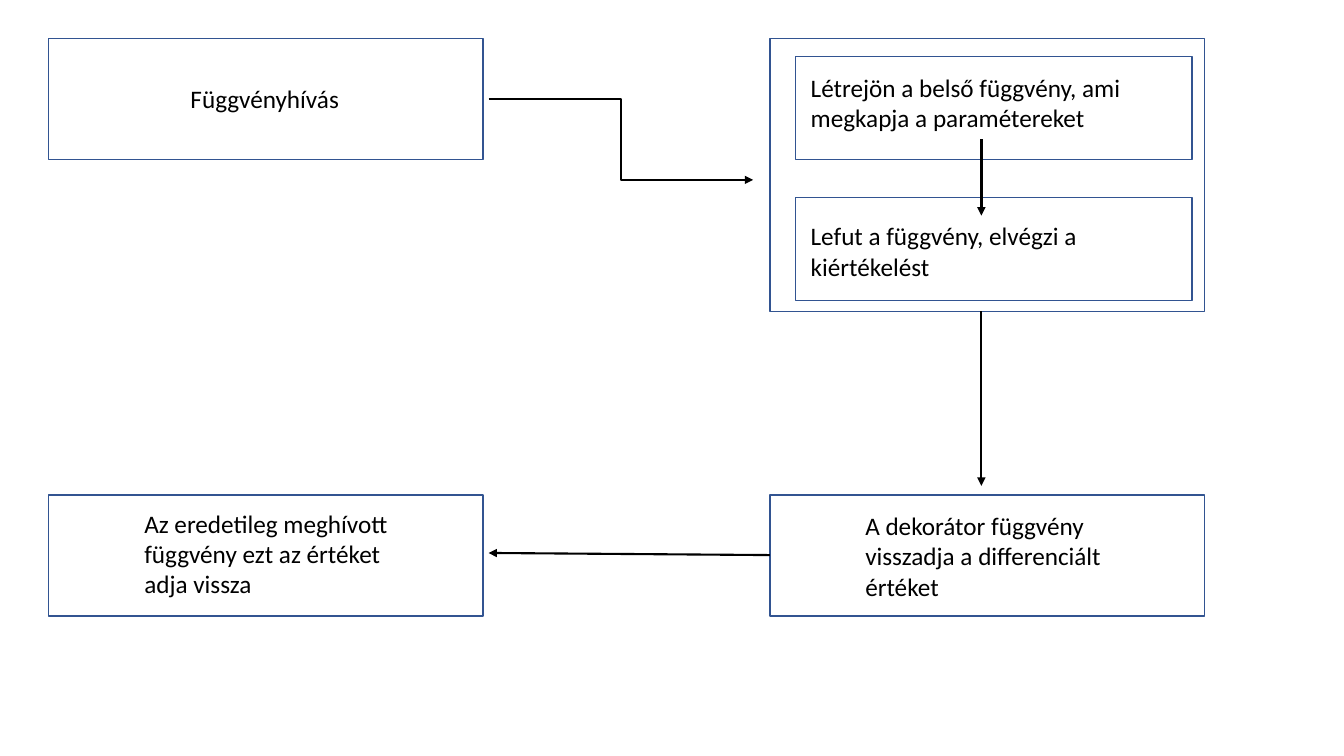
from lxml import etree
from pptx import Presentation
from pptx import util as u
from pptx.dml import color
from pptx.enum import shapes, text
from pptx.oxml import ns

Pt = u.Pt


def rgb(code):
    return color.RGBColor.from_string(code)


class Chart:
    """Flow chart style and the slide it is drawn on."""
    font, size = "Calibri", 18
    ink, edge = "000000", "325491"

    def __init__(self, slide):
        self.items = slide.shapes

    def box(self, x, y, w, h):
        rect = self.items.add_shape(shapes.MSO_SHAPE.RECTANGLE, Pt(x), Pt(y), Pt(w), Pt(h))
        rect.shadow.inherit = False
        rect.fill.background()
        rect.line.color.rgb = rgb(self.edge)
        rect.line.width = Pt(1)

    def label(self, words, x, y, w, h, wrap=True):
        frame = self.items.add_textbox(Pt(x), Pt(y), Pt(w), Pt(h)).text_frame
        frame.word_wrap = wrap
        frame.auto_size = text.MSO_AUTO_SIZE.SHAPE_TO_FIT_TEXT
        para = frame.paragraphs[0]
        para.text = words
        para.font.name = self.font
        para.font.size = Pt(self.size)
        para.font.color.rgb = rgb(self.ink)

    def arrow(self, start, end, width=1.5, kind=shapes.MSO_CONNECTOR.STRAIGHT):
        link = self.items.add_connector(kind, *map(Pt, start + end))
        link.line.color.rgb = rgb(self.ink)
        link.line.width = Pt(width)
        props = link._element.spPr
        etree.SubElement(props.find(ns.qn("a:ln")), ns.qn("a:tailEnd"), type="triangle")
        etree.SubElement(props, ns.qn("a:effectLst"))


deck = Presentation()
deck.slide_width, deck.slide_height = Pt(960), Pt(540)
flow = Chart(deck.slides.add_slide(deck.slide_layouts[6]))

# Grid of the outer boxes
left, right = 34.5, 550
top, low = 27.5, 353.5
wide, high, tall = 310.5, 86.5, 195

# Function call
flow.box(left, top, wide, high)
flow.label("Függvényhívás", 129, 56, 121.5, 29, wrap=False)

# Decorator steps in their frame
flow.box(right, top, wide, tall)
steps = [
    ("Létrejön a belső függvény, ami megkapja a paramétereket ", 40.5, 48, 259),
    ("Lefut a függvény, elvégzi a kiértékelést", 141, 154, 207.5),
]
for words, y, line, width in steps:
    flow.box(568, y, 283.5, 73.5)
    flow.label(words, 572, line, width, 51)

# Returned values
results = [
    (right, "A dekorátor függvény visszadja a differenciált értéket", 611, 361, 196.5),
    (left, "Az eredetileg meghívott függvény ezt az értéket adja vissza", 96, 359.5, 210),
]
for x, words, inset, line, width in results:
    flow.box(x, low, wide, high)
    flow.label(words, inset, line, width, 73)

# Arrows
gate, mid = 349, 701
flow.arrow((gate, 70.5), (538, 128.5), kind=shapes.MSO_CONNECTOR.ELBOW)
flow.arrow((mid, 99.5), (mid, 154), width=1.75)
flow.arrow((mid, top + tall), (mid, 347))
flow.arrow((right, 396.5), (gate, 395))

deck.save("out.pptx")
